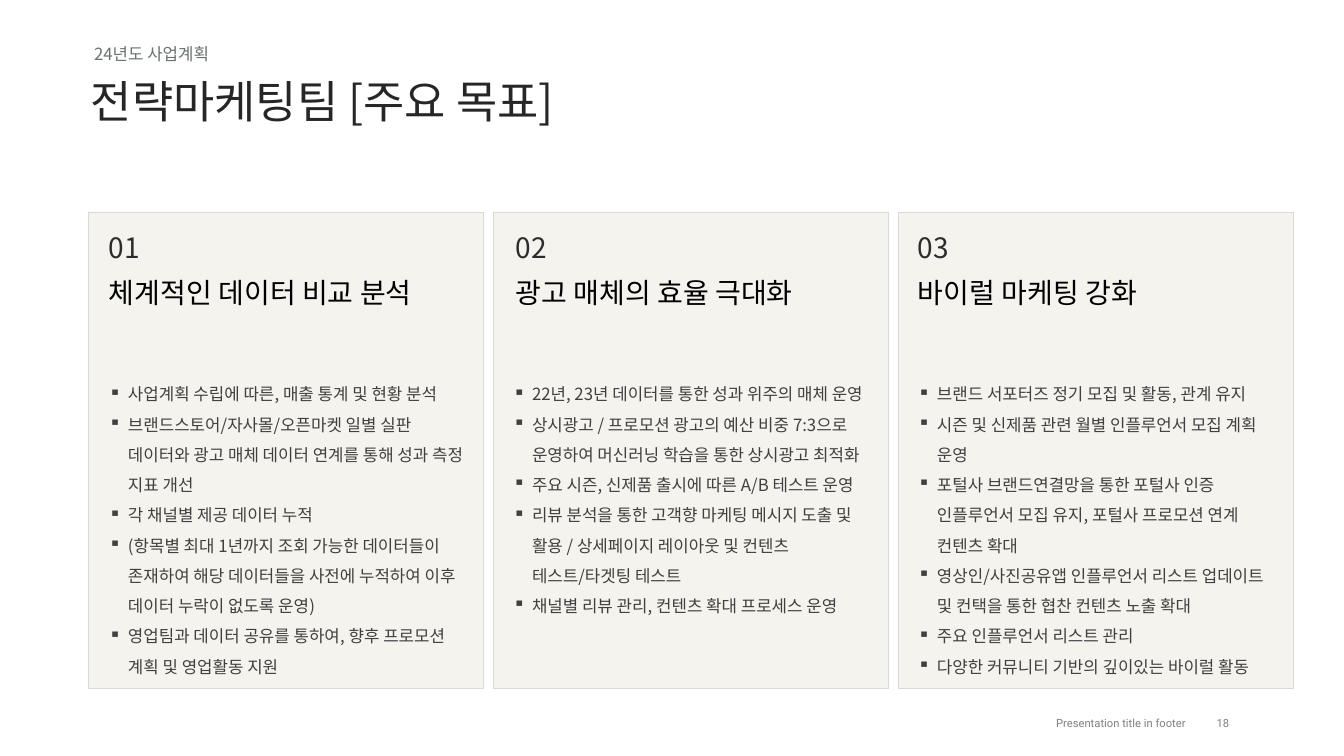
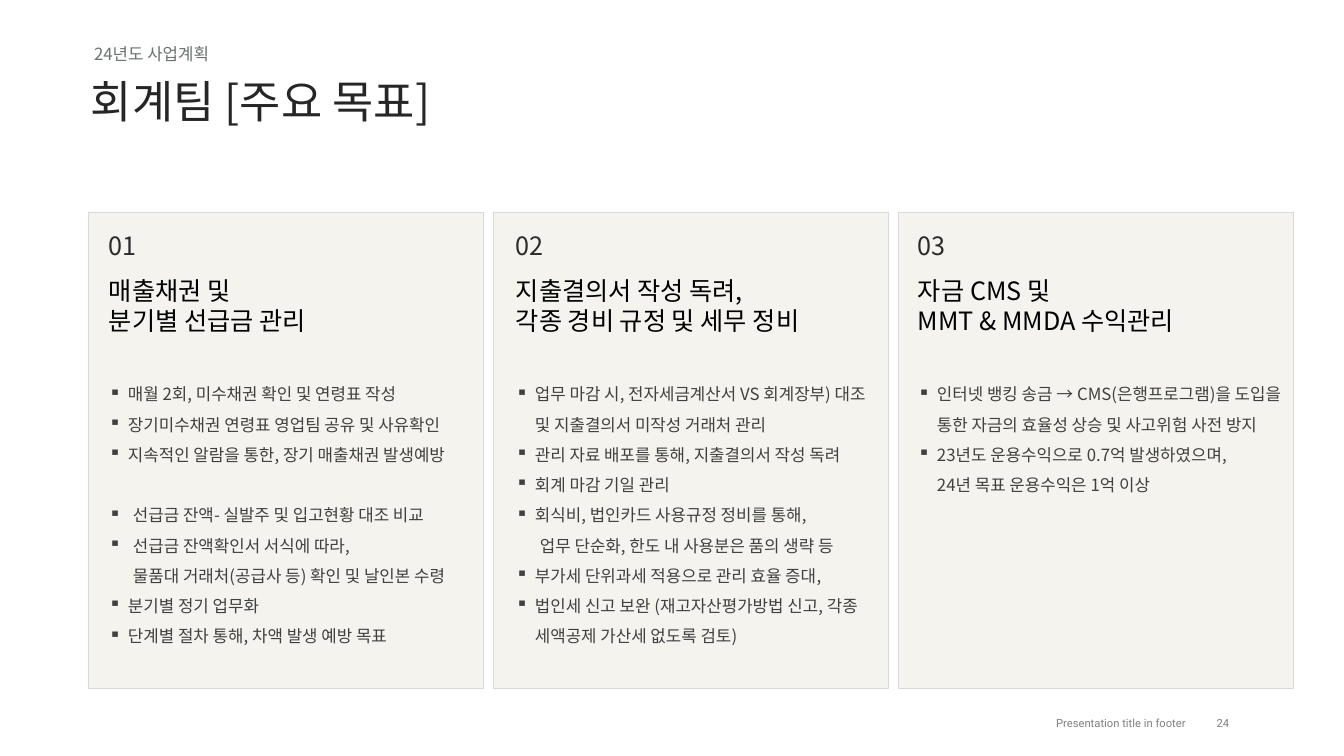
from dataclasses import dataclass

from lxml.etree import SubElement
from pptx import Presentation
from pptx.dml.color import RGBColor
from pptx.enum.shapes import MSO_SHAPE
from pptx.enum.text import MSO_ANCHOR, MSO_AUTO_SIZE, PP_ALIGN
from pptx.oxml.ns import qn
from pptx.util import Emu, Pt


@dataclass
class Point:
    text: str
    indent: int = 19
    bullet: bool = True
    space_before: float = 0


# Content: each goal has heading lines, body left edge and points
PLAN = "24년도 사업계획"
FOOTER = "Presentation title in footer"
TEAMS = [
    {
        "title": "전략마케팅팀 [주요 목표]", "page": 18, "heading_size": 20,
        "goals": [
            (["체계적인 데이터 비교 분석"], 99, [
                Point("사업계획 수립에 따른, 매출 통계 및 현황 분석"),
                Point("브랜드스토어/자사몰/오픈마켓 일별 실판 데이터와 광고 매체 "
                      "데이터 연계를 통해 성과 측정 지표 개선"),
                Point("각 채널별 제공 데이터 누적"),
                Point("(항목별 최대 1년까지 조회 가능한 데이터들이 존재하여 해당 "
                      "데이터들을 사전에 누적하여 이후 데이터 누락이 없도록 운영)"),
                Point("영업팀과 데이터 공유를 통하여, 향후 프로모션 계획 및 영업활동 지원"),
            ]),
            (["광고 매체의 효율 극대화"], 503, [
                Point("22년, 23년 데이터를 통한 성과 위주의 매체 운영"),
                Point("상시광고 / 프로모션 광고의 예산 비중 7:3으로 운영하여 "
                      "머신러닝 학습을 통한 상시광고 최적화"),
                Point("주요 시즌, 신제품 출시에 따른 A/B 테스트 운영"),
                Point("리뷰 분석을 통한 고객향 마케팅 메시지 도출 및 활용 / "
                      "상세페이지 레이아웃 및 컨텐츠 테스트/타겟팅 테스트"),
                Point("채널별 리뷰 관리, 컨텐츠 확대 프로세스 운영"),
            ]),
            (["바이럴 마케팅 강화"], 908, [
                Point("브랜드 서포터즈 정기 모집 및 활동, 관계 유지"),
                Point("시즌 및 신제품 관련 월별 인플루언서 모집 계획 운영"),
                Point("포털사 브랜드연결망을 통한 포털사 인증 인플루언서 모집 유지, "
                      "포털사 프로모션 연계 컨텐츠 확대"),
                Point("영상인/사진공유앱 인플루언서 리스트 업데이트 및 컨택을 통한 "
                      "협찬 컨텐츠 노출 확대"),
                Point("주요 인플루언서 리스트 관리"),
                Point("다양한 커뮤니티 기반의 깊이있는 바이럴 활동"),
            ]),
        ],
    },
    {
        "title": "회계팀 [주요 목표]", "page": 24, "heading_size": 18,
        "goals": [
            (["매출채권 및", "분기별 선급금 관리"], 99, [
                Point("매월 2회, 미수채권 확인 및 연령표 작성"),
                Point("장기미수채권 연령표 영업팀 공유 및 사유확인"),
                Point("지속적인 알람을 통한, 장기 매출채권 발생예방"),
                Point("선급금 잔액- 실발주 및 입고현황 대조 비교", 24, space_before=21.6),
                Point("선급금 잔액확인서 서식에 따라,", 24),
                Point("물품대 거래처(공급사 등) 확인 및 날인본 수령", 24, False),
                Point("분기별 정기 업무화"),
                Point("단계별 절차 통해, 차액 발생 예방 목표"),
            ]),
            (["지출결의서 작성 독려,", "각종 경비 규정 및 세무 정비"], 506, [
                Point("업무 마감 시, 전자세금계산서 VS 회계장부) 대조 및 "
                      "지출결의서 미작성 거래처 관리"),
                Point("관리 자료 배포를 통해, 지출결의서 작성 독려"),
                Point("회계 마감 기일 관리"),
                Point("회식비, 법인카드 사용규정 정비를 통해,"),
                Point("업무 단순화, 한도 내 사용분은 품의 생략 등", 24, False),
                Point("부가세 단위과세 적용으로 관리 효율 증대,"),
                Point("법인세 신고 보완 (재고자산평가방법 신고, 각종 세액공제 "
                      "가산세 없도록 검토)"),
            ]),
            (["자금 CMS 및", "MMT & MMDA 수익관리"], 908, [
                Point("인터넷 뱅킹 송금 → CMS(은행프로그램)을 도입을 통한 자금의 "
                      "효율성 상승 및 사고위험 사전 방지"),
                Point("23년도 운용수익으로 0.7억 발생하였으며,"),
                Point("24년 목표 운용수익은 1억 이상", bullet=False),
            ]),
        ],
    },
]

# Shared style
KOREAN, LATIN = "Noto Sans CJK KR", "Roboto"
CARD_FILL, CARD_LINE = "F4F3EE", "D9D9D9"
TITLE, SUBTITLE, NUMBER, HEADING, BODY, FOOT = (
    "262626", "69726D", "2C2C2D", "000000", "404040", "808080")
CARD_LEFT, CARD_TOP, CARD_WIDTH, CARD_HEIGHT, CARD_PITCH = 88, 212, 395, 476, 405
HEADING_LEFTS = (99, 506, 908)


def px(length):
    return Emu(round(length * 914400 / 100.8))


def rgb(value):
    return RGBColor.from_string(value)


def add_text(slide, box, points, size, color, font=KOREAN, insets=(10, 5),
             align=PP_ALIGN.LEFT, anchor=MSO_ANCHOR.TOP, spacing=None):
    frame = slide.shapes.add_textbox(*map(px, box)).text_frame
    frame.word_wrap = True
    frame.vertical_anchor = anchor
    frame.margin_left = frame.margin_right = px(insets[0])
    frame.margin_top = frame.margin_bottom = px(insets[1])
    if anchor == MSO_ANCHOR.TOP:
        frame.auto_size = MSO_AUTO_SIZE.SHAPE_TO_FIT_TEXT
    for index, point in enumerate(points):
        paragraph = frame.paragraphs[0] if index == 0 else frame.add_paragraph()
        paragraph.text = point.text
        paragraph.alignment = align
        if spacing:
            paragraph.line_spacing = spacing
        if point.space_before:
            paragraph.space_before = Pt(point.space_before)
        properties = paragraph._p.get_or_add_pPr()
        properties.set("marL", str(px(point.indent)))
        properties.set("indent", str(px(-point.indent if point.bullet else 0)))
        if point.bullet:
            SubElement(properties, qn("a:buChar")).set("char", "▪")
        else:
            SubElement(properties, qn("a:buNone"))
        paragraph.font.size = Pt(size)
        paragraph.font.color.rgb = rgb(color)
        paragraph.font.name = font
        defaults = properties.find(qn("a:defRPr"))
        SubElement(defaults, qn("a:ea")).set("typeface", font)


def plain(*lines):
    return [Point(line, indent=0, bullet=False) for line in lines]


def add_frame(slide, title, page):
    add_text(slide, (89, 39, 403, 30), plain(PLAN), 12, SUBTITLE, insets=(5, 5))
    add_text(slide, (86, 69, 611, 65), plain(title), 32, TITLE, insets=(5, 5))
    for left, width, text, align in ((861, 325, FOOTER, PP_ALIGN.RIGHT),
                                     (1186, 74, str(page), PP_ALIGN.CENTER)):
        add_text(slide, (left, 708, width, 31), plain(text), 8, FOOT, LATIN,
                 (0, 0), align, MSO_ANCHOR.MIDDLE)


def add_goal(slide, index, goal, heading_size):
    heading, body_left, points = goal
    left = CARD_LEFT + index * CARD_PITCH
    right = left + CARD_WIDTH
    card = slide.shapes.add_shape(
        MSO_SHAPE.RECTANGLE, *map(px, (left, CARD_TOP, CARD_WIDTH, CARD_HEIGHT)))
    card.shadow.inherit = False
    card.fill.solid()
    card.fill.fore_color.rgb = rgb(CARD_FILL)
    card.line.color.rgb = rgb(CARD_LINE)
    card.line.width = Pt(0.25)

    heading_left = HEADING_LEFTS[index]
    add_text(slide, (heading_left, 225, 58, 44), plain(f"{index + 1:02}"),
             heading_size, NUMBER)
    add_text(slide, (heading_left, 270, right - heading_left, 44 * len(heading)),
             plain(*heading), heading_size, HEADING)
    add_text(slide, (body_left, 369, right - body_left, 281), points, 12, BODY,
             spacing=1.5)


def main():
    deck = Presentation()
    deck.slide_width, deck.slide_height = px(1344), px(756)
    for team in TEAMS:
        slide = deck.slides.add_slide(deck.slide_layouts[6])
        add_frame(slide, team["title"], team["page"])
        for index, goal in enumerate(team["goals"]):
            add_goal(slide, index, goal, team["heading_size"])
    deck.save("out.pptx")


if __name__ == "__main__":
    main()
